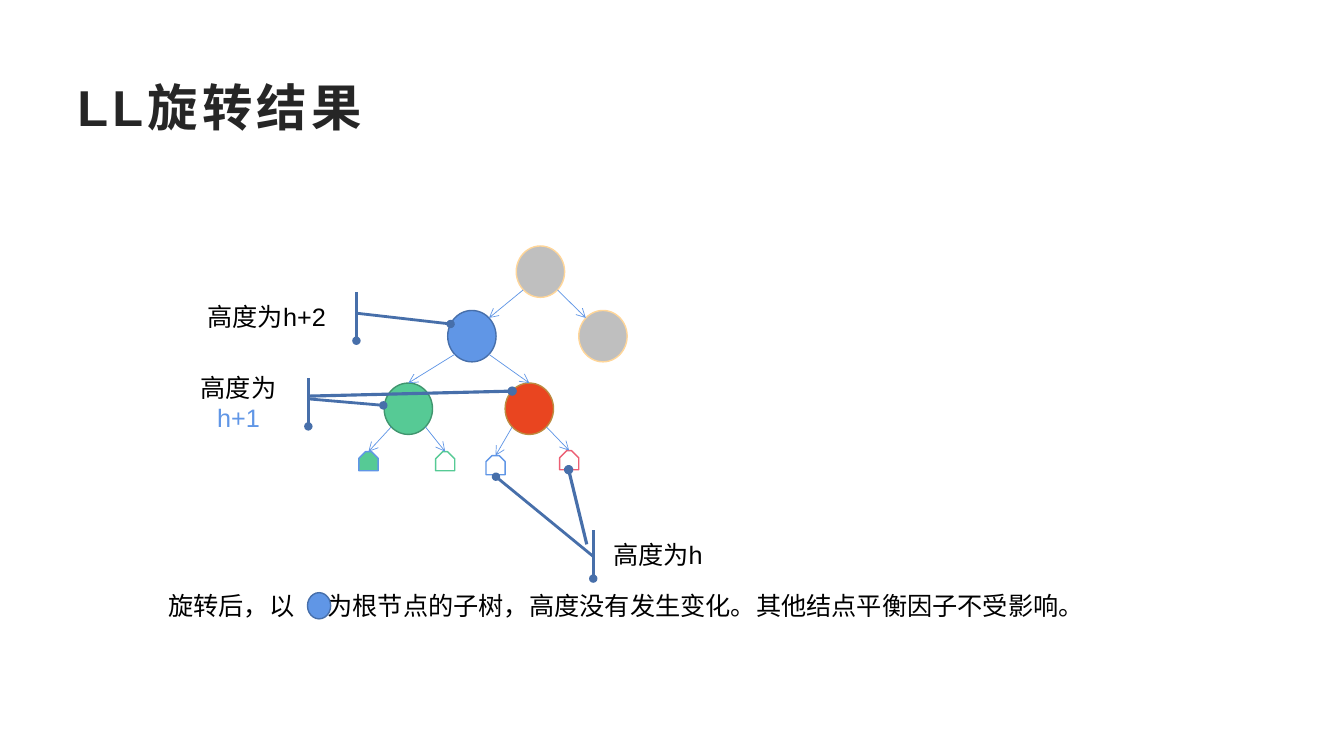
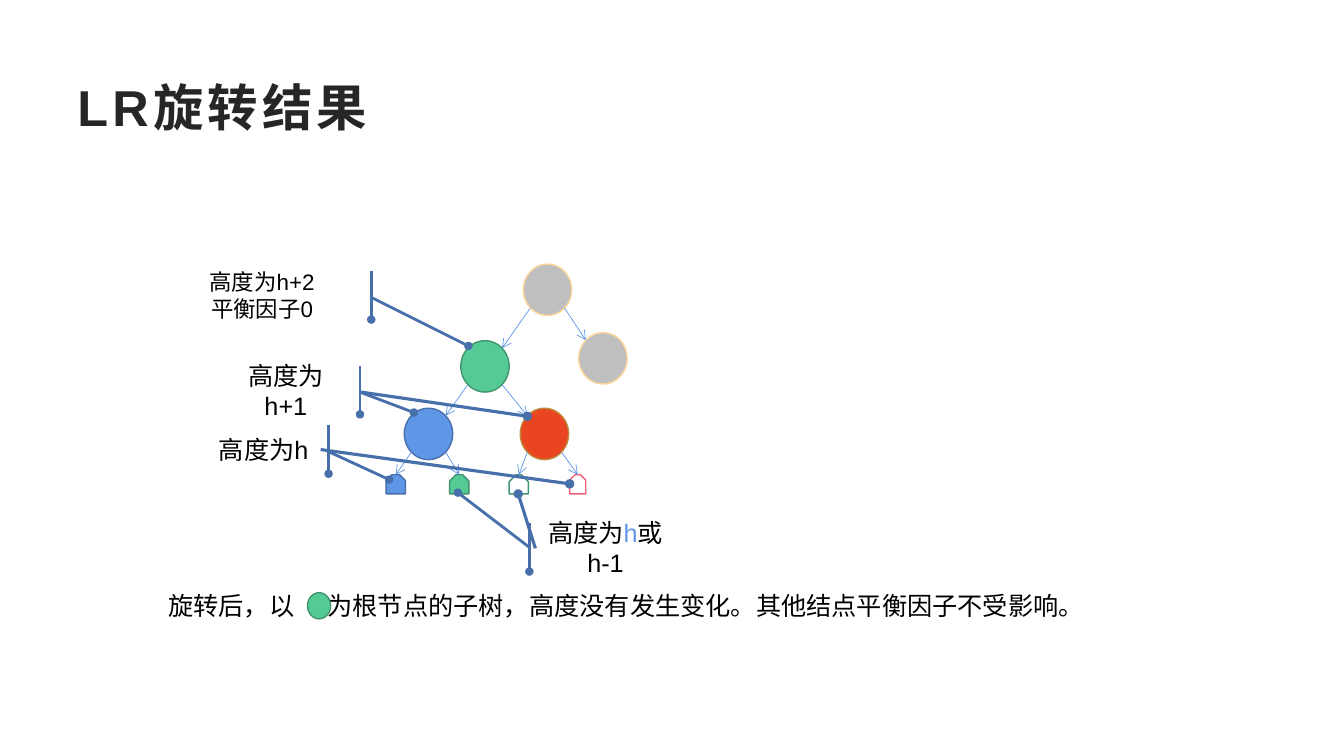
"""Build two slides on the results of LL and LR tree rotations."""
from pptx import Presentation
from pptx.dml.color import RGBColor
from pptx.enum.shapes import MSO_CONNECTOR, MSO_SHAPE
from pptx.enum.text import MSO_ANCHOR, PP_ALIGN
from pptx.oxml.ns import qn
from pptx.util import Inches, Pt
from lxml import etree

LINE = MSO_CONNECTOR.STRAIGHT
OVAL = MSO_SHAPE.OVAL
HOUSE = MSO_SHAPE.SNIP_2_SAME_RECTANGLE
CALL = MSO_SHAPE.LINE_CALLOUT_1_ACCENT_BAR
MID = MSO_ANCHOR.MIDDLE
CENTER = PP_ALIGN.CENTER

FONT = "Arial"
BLACK = RGBColor(0x00, 0x00, 0x00)
WHITE = RGBColor(0xFF, 0xFF, 0xFF)
INK = RGBColor(0x26, 0x26, 0x26)
GREY = RGBColor(0xBF, 0xBF, 0xBF)
SAND = RGBColor(0xFF, 0xD6, 0x99)
BLUE = RGBColor(0x60, 0x96, 0xE6)
NAVY = RGBColor(0x47, 0x6F, 0xAA)
GREEN = RGBColor(0x56, 0xCA, 0x95)
PINE = RGBColor(0x40, 0x95, 0x6E)
RED = RGBColor(0xE9, 0x45, 0x20)
BROWN = RGBColor(0xBD, 0x8A, 0x3F)
PINK = RGBColor(0xEC, 0x5F, 0x74)

EDGE = {GREY: SAND, BLUE: NAVY, GREEN: PINE, RED: BROWN}
NODE_W, NODE_H = 0.48, 0.51
LEAF_H = 0.19
NEAR, FAR = 0.146, 0.854
CAPTION = "旋转后，以\t为根节点的子树，高度没有发生变化。其他结点平衡因子不受影响。"
GAP_END = 1.58

# nodes: name -> left, top, fill, parent, arrow meets the top
# leaves: left, top, width, snip, fill, edge, parent
# labels: box, adjustments, size, paragraphs of (text, colour)
# pointers: from, to
SLIDES = [
    {
        "title": "LL旋转结果",
        "root": BLUE,
        "nodes": {
            "top": (5.12, 2.44, GREY, None, False),
            "side": (5.74, 3.08, GREY, "top", False),
            "blue": (4.44, 3.08, BLUE, "top", False),
            "red": (5.01, 3.8, RED, "blue", True),
            "green": (3.81, 3.8, GREEN, "blue", True),
        },
        "leaves": [
            (4.82, 4.52, 0.19, 0.311, WHITE, BLUE, "red"),
            (5.55, 4.47, 0.19, 0.381, WHITE, PINK, "red"),
            (4.32, 4.48, 0.19, 0.381, WHITE, GREEN, "green"),
            (3.56, 4.48, 0.19, 0.348, GREEN, BLUE, "green"),
        ],
        "labels": [
            ((1.8, 3.75, 1.13, 0.48), (0.432, 1.114, 0.566, 1.772), 18,
             [[("高度为", BLACK), ("h+1", BLUE)]]),
            ((1.92, 2.9, 1.45, 0.48), (0.432, 1.114, 0.655, 1.758), 18,
             [[("高度为h+2", BLACK)]]),
            ((5.96, 5.26, 1.13, 0.48), (0.543, -0.067, -1.106, -0.921), 18,
             [[("高度为h", BLACK)]]),
        ],
        "pointers": [((5.82, 5.4), (5.64, 4.66)), ((3.05, 3.93), (5.08, 3.88))],
    },
    {
        "title": "LR旋转结果",
        "root": GREEN,
        "nodes": {
            "top": (5.19, 2.62, GREY, None, False),
            "side": (5.74, 3.3, GREY, "top", False),
            "green": (4.57, 3.38, GREEN, "top", False),
            "blue": (4.01, 4.05, BLUE, "green", False),
            "red": (5.16, 4.05, RED, "green", False),
        },
        "leaves": [
            (5.65, 4.71, 0.16, 0.333, WHITE, PINK, "red"),
            (5.05, 4.71, 0.19, 0.359, WHITE, PINE, "red"),
            (4.46, 4.71, 0.19, 0.326, GREEN, PINE, "blue"),
            (3.83, 4.71, 0.19, 0.293, BLUE, NAVY, "blue"),
        ],
        "labels": [
            ((2.05, 4.22, 1.13, 0.48), (0.543, 1.07, 1.121, 1.602), 18,
             [[("高度为h", BLACK)]]),
            ((5.31, 5.19, 1.39, 0.48), (0.499, -0.043, -0.631, -0.553), 18,
             [[("高度为", BLACK), ("h", BLUE), ("或h-1", BLACK)]]),
            ((1.65, 2.69, 1.9, 0.48), (0.543, 1.07, 1.546, 1.577), 16,
             [[("高度为h+2", BLACK)], [("平衡因子0", BLACK)]]),
            ((2.19, 3.63, 1.29, 0.48), (0.543, 1.07, 0.964, 1.484), 18,
             [[("高度为h+1", BLACK)]]),
        ],
        "pointers": [((3.18, 4.46), (5.65, 4.8)), ((5.31, 5.44), (5.14, 4.9)),
                     ((3.58, 3.89), (5.23, 4.13))],
    },
]


def add_tail(shape, kind):
    ln = shape.line._get_or_add_ln()
    etree.SubElement(ln, qn("a:tailEnd"), type=kind)


def add_line(slide, start, end, color, width, tail):
    ends = [Inches(v) for v in (*start, *end)]
    line = slide.shapes.add_connector(LINE, *ends)
    line.line.color.rgb = color
    line.line.width = Pt(width)
    add_tail(line, tail)
    etree.SubElement(line._element.spPr, qn("a:effectLst"))


def add_form(slide, kind, box, fill, edge, width=1):
    form = slide.shapes.add_shape(kind, *[Inches(v) for v in box])
    form.shadow.inherit = False
    if fill is None:
        form.fill.background()
    else:
        form.fill.solid()
        form.fill.fore_color.rgb = fill
    form.line.color.rgb = edge
    form.line.width = Pt(width)
    return form


def add_run(para, text, size, color, bold=False):
    run = para.add_run()
    run.text = text
    run.font.name = FONT
    run.font.size = Pt(size)
    run.font.bold = bold
    run.font.color.rgb = color
    return run


def add_text(slide, box, text, size, color, bold=False):
    frame = slide.shapes.add_textbox(*[Inches(v) for v in box]).text_frame
    frame.word_wrap = True
    return frame, add_run(frame.paragraphs[0], text, size, color, bold)


def add_title(slide, text):
    frame, run = add_text(slide, (0.67, 0.67, 12, 0.77), text, 36, INK, True)
    frame.vertical_anchor = MID
    run._r.get_or_add_rPr().set("spc", "300")


def add_link(slide, nodes, parent, left, top, width, meet_top):
    x, y = nodes[parent][:2]
    right = left + width / 2 > x + NODE_W / 2
    out, into = (FAR, NEAR) if right else (NEAR, FAR)
    start = x + NODE_W * out, y + NODE_H * FAR
    if meet_top:
        end = left + width / 2, top
    else:
        end = left + width * into, top + NODE_H * NEAR
    add_line(slide, start, end, BLUE, 0.5, "arrow")


def add_tree(slide, nodes, leaves):
    for left, top, fill, parent, meet in nodes.values():
        add_form(slide, OVAL, (left, top, NODE_W, NODE_H), fill, EDGE[fill])
        if parent:
            add_link(slide, nodes, parent, left, top, NODE_W, meet)
    for left, top, width, snip, fill, edge, parent in leaves:
        leaf = add_form(slide, HOUSE, (left, top, width, LEAF_H), fill, edge)
        leaf.adjustments[0] = snip
        leaf.adjustments[1] = 0
        add_link(slide, nodes, parent, left, top, width, True)


def add_label(slide, box, adjust, size, paras):
    label = add_form(slide, CALL, box, None, NAVY, 2)
    for i, value in enumerate(adjust):
        label.adjustments[i] = value
    add_tail(label, "oval")
    frame = label.text_frame
    frame.word_wrap = True
    frame.vertical_anchor = MID
    for i, runs in enumerate(paras):
        para = frame.add_paragraph() if i else frame.paragraphs[0]
        para.alignment = CENTER
        for text, color in runs:
            add_run(para, text, size, color)


def add_caption(slide, fill):
    frame, _ = add_text(slide, (1.57, 5.81, 11.09, 0.4), CAPTION, 18, BLACK)
    props = frame.paragraphs[0]._p.get_or_add_pPr()
    tabs = etree.SubElement(props, qn("a:tabLst"))
    etree.SubElement(tabs, qn("a:tab"), pos=str(Inches(GAP_END)), algn="l")
    add_form(slide, OVAL, (3.05, 5.88, 0.23, 0.26), fill, EDGE[fill])


deck = Presentation()
deck.slide_width = Inches(13.33)
deck.slide_height = Inches(7.5)
for data in SLIDES:
    page = deck.slides.add_slide(deck.slide_layouts[6])
    add_title(page, data["title"])
    add_tree(page, data["nodes"], data["leaves"])
    for label in data["labels"]:
        add_label(page, *label)
    for start, end in data["pointers"]:
        add_line(page, start, end, NAVY, 2.25, "oval")
    add_caption(page, data["root"])
deck.save("out.pptx")
